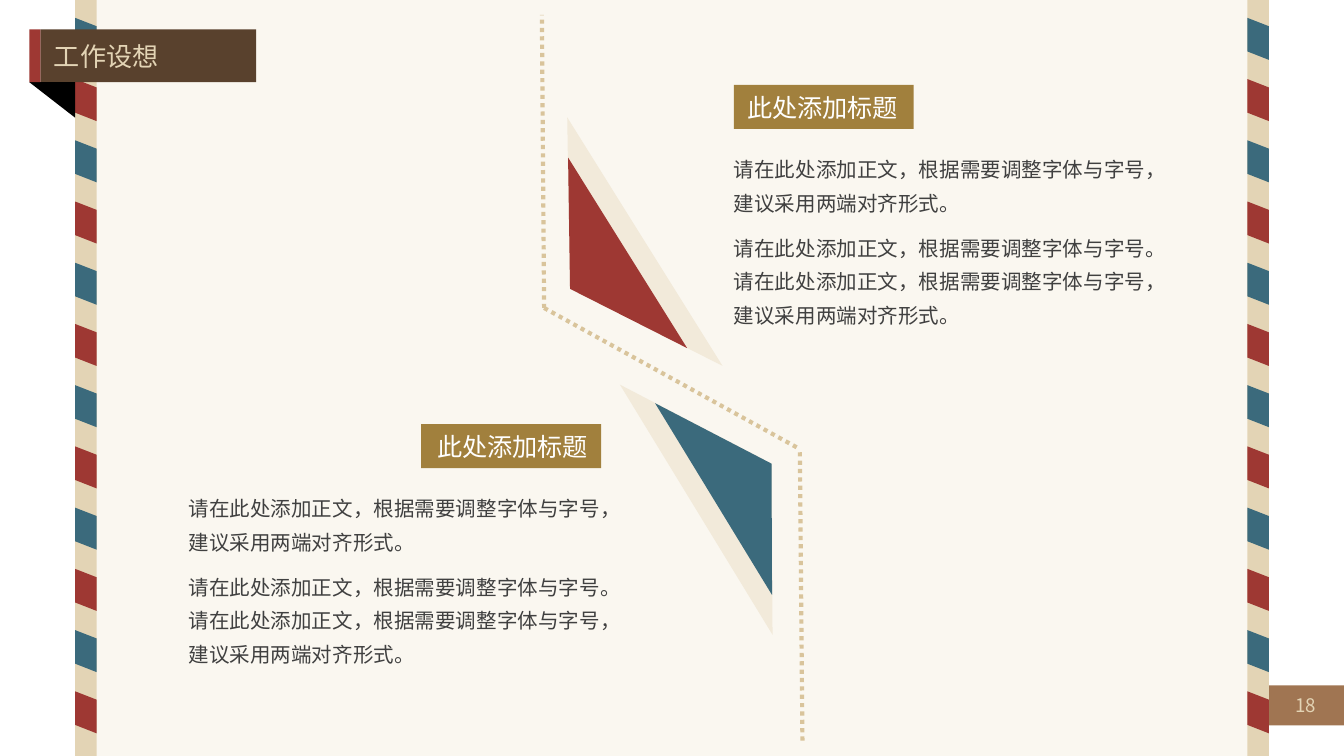
from lxml.etree import SubElement
from pptx import Presentation
from pptx.dml.color import RGBColor
from pptx.enum.dml import MSO_LINE
from pptx.enum.shapes import MSO_CONNECTOR, MSO_SHAPE as Preset
from pptx.enum.text import MSO_ANCHOR as Anchor, MSO_AUTO_SIZE, PP_ALIGN as Align
from pptx.oxml.ns import qn
from pptx.util import Pt

FONT = "Noto Sans CJK SC"
WIDTH, HEIGHT = 720, 405
COLORS = {
    "paper": "FAF7F0", "sand": "E3D4B5", "blue": "3B6A7C", "red": "9E3833",
    "brown": "59412D", "tan": "A07552", "gold": "A1803D", "cream": "F2EADA",
    "dots": "D9C49B", "fold": "000000", "white": "FFFFFF", "text": "404040",
}
HEADING = "此处添加标题"
BODY = [
    "请在此处添加正文，根据需要调整字体与字号，建议采用两端对齐形式。",
    "请在此处添加正文，根据需要调整字体与字号。请在此处添加正文，根据需要调整字体与字号，建议采用两端对齐形式。",
]


def color(name):
    """Return the named colour."""
    return RGBColor.from_string(COLORS[name])


def add_block(slide, preset, box, fill, rotation=0):
    """Add a flat, unlined shape and return it."""
    shape = slide.shapes.add_shape(preset, *map(Pt, box))
    shape.shadow.inherit = False
    shape.fill.solid()
    shape.fill.fore_color.rgb = color(fill)
    shape.line.fill.background()
    shape.rotation = rotation
    return shape


def set_text(shape, paragraphs, size, ink, align=Align.LEFT, anchor=Anchor.TOP, wrap=True):
    """Fill a shape with uniformly formatted paragraphs."""
    frame = shape.text_frame
    frame.text = "\n".join(paragraphs)
    frame.word_wrap = wrap
    frame.auto_size = MSO_AUTO_SIZE.NONE
    frame.vertical_anchor = anchor
    for paragraph in frame.paragraphs:
        paragraph.alignment = align
        for run in paragraph.runs:
            run.font.size = Pt(size)
            run.font.color.rgb = color(ink)
            run.font.name = FONT
            SubElement(run.font._element, qn("a:ea"), typeface=FONT)


def add_airmail_edge(slide, left, width):
    """Add one vertical band of alternating slanted stripes."""
    add_block(slide, Preset.RECTANGLE, (left, 0, width, HEIGHT), "sand")
    length, pitch = 22.5, 32.8
    for index in range(12):
        box = (left + (width - length) / 2, 15.1 + index * pitch, length, width)
        add_block(slide, Preset.FLOWCHART_DATA, box, ("blue", "red")[index % 2], 90)


def add_background(slide, left, width):
    """Add the paper sheet with an airmail edge on each side."""
    edge = 11.5
    add_block(slide, Preset.RECTANGLE, (left, 0, width, HEIGHT), "paper")
    for edge_left in (left + width - edge, left):
        add_airmail_edge(slide, edge_left, edge)


def add_title_ribbon(slide, left, top, width, height):
    """Add the folded ribbon and put the title placeholder on it."""
    tab = 6
    add_block(slide, Preset.RECTANGLE, (left + tab, top, width - tab, height), "brown")
    add_block(slide, Preset.RIGHT_TRIANGLE, (left, top + height, 24.5, 19), "fold", 180)
    add_block(slide, Preset.RECTANGLE, (left, top, tab, height), "red")
    title = slide.shapes.title
    title.left, title.top = Pt(left + tab), Pt(top + 2)
    title.width, title.height = Pt(72), Pt(24.5)
    set_text(title, ["工作设想"], 14, "sand", wrap=False)
    slide.shapes.element.append(title.element)


def add_page_number(slide, left, top, width, height):
    """Add the page number tab."""
    add_block(slide, Preset.RECTANGLE, (left, top, width, height), "tan")
    number = slide.shapes.add_textbox(Pt(left + 10), Pt(top), Pt(42), Pt(height))
    set_text(number, ["18"], 10, "sand", Align.RIGHT, Anchor.MIDDLE)


def add_dotted_path(slide, left, top):
    """Add the three dotted segments of the zigzag."""
    segments = [
        ((1.2, 157), (0, 0)),
        ((1.2, 157), (138.2, 232.6)),
        ((139.6, 388.8), (138.2, 232.6)),
    ]
    for (x1, y1), (x2, y2) in segments:
        line = slide.shapes.add_connector(
            MSO_CONNECTOR.STRAIGHT,
            Pt(left + x1), Pt(top + y1), Pt(left + x2), Pt(top + y2))
        line.line.color.rgb = color("dots")
        line.line.width = Pt(2.25)
        line.line.dash_style = MSO_LINE.ROUND_DOT
        SubElement(line.element.spPr, qn("a:effectLst"))


def add_blade(slide, back, front, fill, rotation):
    """Add a coloured triangle over a larger pale one, given their top-left corners."""
    add_block(slide, Preset.ISOSCELES_TRIANGLE, (*back, 157, 47.4), "cream", rotation)
    add_block(slide, Preset.ISOSCELES_TRIANGLE, (*front, 120.4, 36.4), fill, rotation)


def add_section(slide, left, top, heading_offset, align):
    """Add a heading tag with its body text below."""
    body = slide.shapes.add_textbox(Pt(left), Pt(top + 30.4), Pt(240.5), Pt(104.4))
    set_text(body, BODY, 11, "text")
    body.text_frame.margin_left = body.text_frame.margin_right = 0
    for paragraph in body.text_frame.paragraphs:
        paragraph.line_spacing = Pt(18)
        paragraph.space_after = Pt(6)
    tag_box = (left + heading_offset, top, 96.4, 23.6)
    tag = add_block(slide, Preset.RECTANGLE, tag_box, "gold")
    set_text(tag, [HEADING], 13.5, "white", align, Anchor.MIDDLE, wrap=False)


def main():
    """Build and save the slide."""
    presentation = Presentation()
    presentation.slide_width, presentation.slide_height = Pt(WIDTH), Pt(HEIGHT)
    slide = presentation.slides.add_slide(presentation.slide_layouts[5])
    add_page_number(slide, 660, 367.2, 60, 21.4)
    add_background(slide, 40.3, 639.5)
    add_title_ribbon(slide, 15.7, 15.8, 121.6, 28.2)
    add_dotted_path(slide, 290.3, 8)
    add_blade(slide, (246.9, 118.3), (260.6, 126.9), "red", 238)
    add_blade(slide, (314.7, 237), (337.6, 239.7), "blue", 58.6)
    add_section(slide, 393.1, 45.5, 0, Align.LEFT)
    add_section(slide, 101, 227.2, 124.6, Align.RIGHT)
    presentation.save("out.pptx")


if __name__ == "__main__":
    main()
